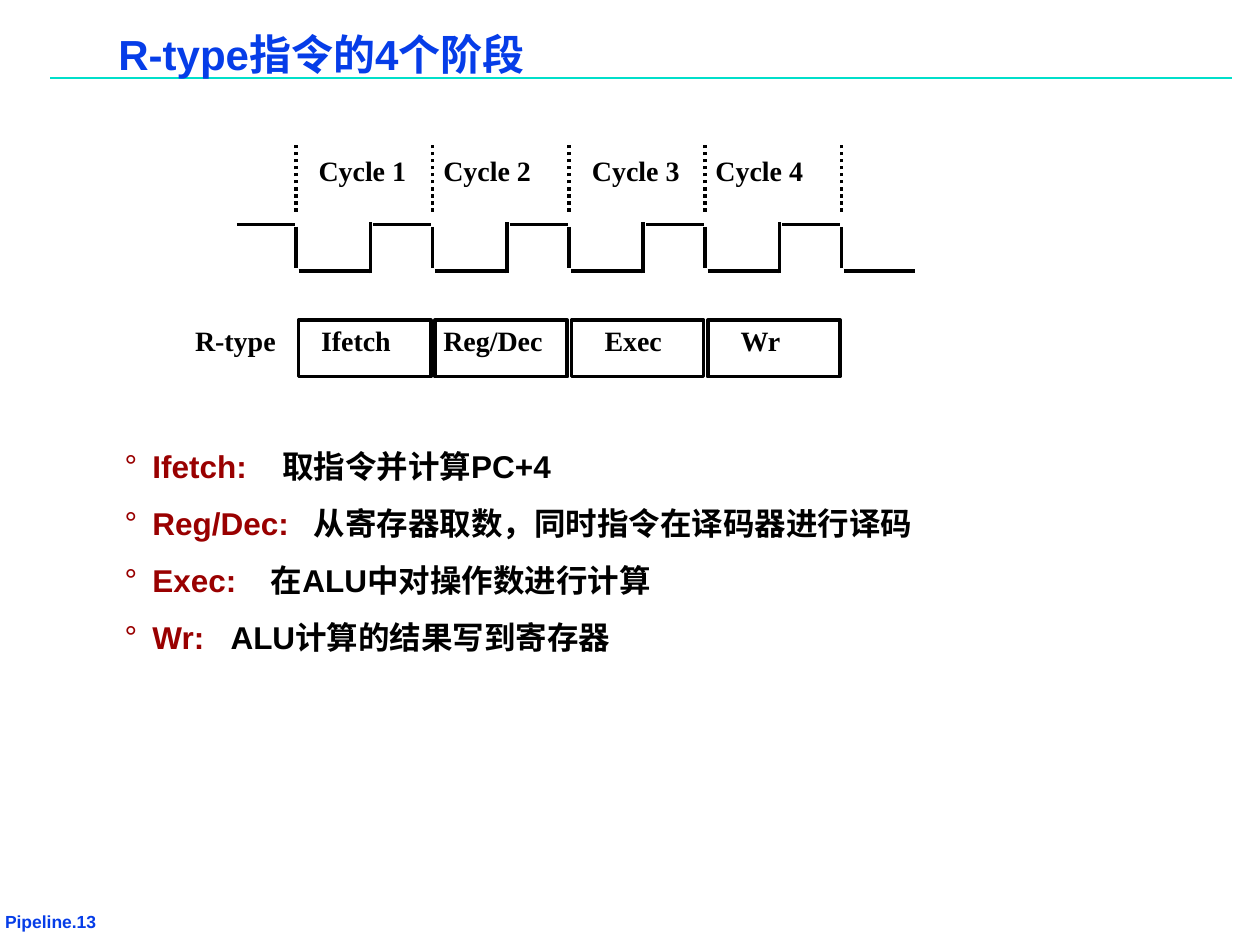
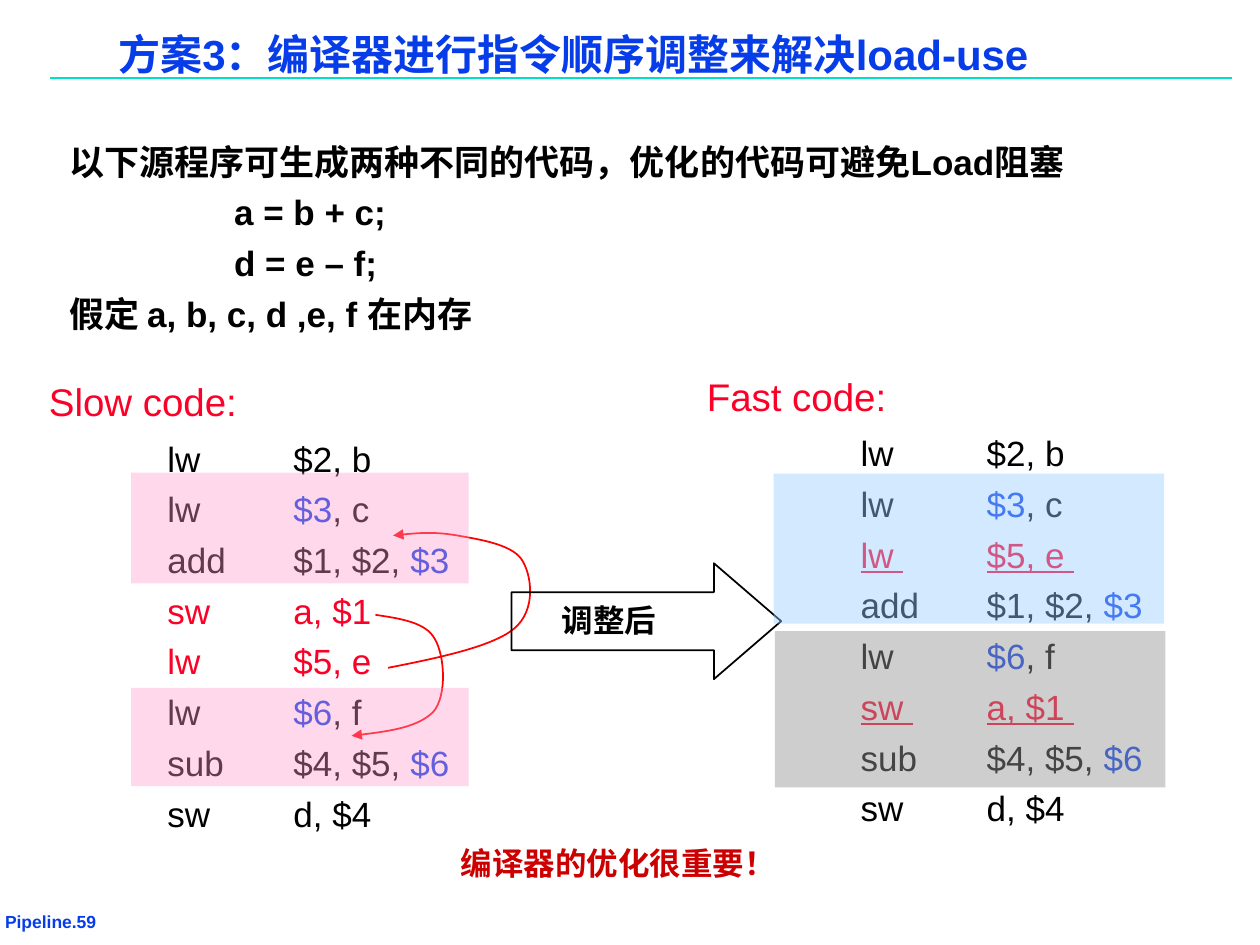
from lxml import etree
from pptx import Presentation
from pptx.dml.color import RGBColor
from pptx.enum.dml import MSO_LINE
from pptx.enum.shapes import MSO_CONNECTOR, MSO_SHAPE
from pptx.oxml.ns import qn
from pptx.util import Inches, Pt

STRAIGHT = MSO_CONNECTOR.STRAIGHT
RECTANGLE = MSO_SHAPE.RECTANGLE
RIGHT_ARROW = MSO_SHAPE.RIGHT_ARROW
DOTTED = MSO_LINE.ROUND_DOT

SANS, SERIF = "Arial", "Times New Roman"
BLACK, BLUE, TEAL = "000000", "063DE8", "00DFCA"
RED, DARK_RED, BRICK = "FC0128", "990000", "CC0000"
CURVE_RED, PINK, SKY, GREY = "FF0000", "FF99CC", "99CCFF", "969696"

SMALL_INSET, INSET = (0.07, 0.03), (0.1, 0.05)
TAB_WIDTH = 1

CYCLE_START, CYCLE_COUNT = 2.35, 4
CYCLE_WIDTH = (6.68 - CYCLE_START) / CYCLE_COUNT
CLOCK_HIGH, CLOCK_LOW = 1.78, 2.15

# Label and left edge of each text
CYCLES = [("Cycle 1", 2.43), ("Cycle 2", 3.42), ("Cycle 3", 4.6), ("Cycle 4", 5.58)]
STAGES = [("Ifetch", 2.45), ("Reg/Dec", 3.42), ("Exec", 4.7), ("Wr", 5.78)]

# Stage, explanation and tab stop between them
STAGE_NOTES = [
    ("Ifetch:", "取指令并计算PC+4", 1.25),
    ("Reg/Dec:", "从寄存器取数，同时指令在译码器进行译码", 1.5),
    ("Exec:", "在ALU中对操作数进行计算", 1.16),
    ("Wr:", "ALU计算的结果写到寄存器", 0.84),
]

INTRO = [
    "以下源程序可生成两种不同的代码，优化的代码可避免Load阻塞",
    "\t\ta = b + c;",
    "\t\td = e – f;",
    "假定 a, b, c, d ,e, f 在内存",
]

# Operation, operands, highlighted register, colour
SLOW_CODE = [
    ("lw", "$2, b", "", BLACK),
    ("lw", "$3, c", "$3", BLACK),
    ("add", "$1, $2, $3", "$3", BLACK),
    ("sw", "a, $1", "", RED),
    ("lw", "$5, e", "", RED),
    ("lw", "$6, f", "$6", BLACK),
    ("sub", "$4, $5, $6", "$6", BLACK),
    ("sw", "d, $4", "", BLACK),
]
FAST_ORDER = [0, 1, 4, 2, 5, 3, 6, 7]

# Start point, then two control points and an end point per curve
LOAD_MOVE = [
    (3.08, 5.3), (3.49, 5.22), (3.91, 5.13), (4.08, 4.99),
    (4.26, 4.84), (4.22, 4.56), (4.14, 4.44),
    (4.06, 4.32), (3.8, 4.28), (3.63, 4.25),
    (3.46, 4.22), (3.29, 4.23), (3.12, 4.25),
]
STORE_MOVE = [
    (2.98, 4.88), (3.18, 4.91), (3.38, 4.94), (3.45, 5.07),
    (3.53, 5.2), (3.55, 5.52), (3.44, 5.65),
    (3.32, 5.77), (3.06, 5.81), (2.79, 5.84),
]

HIGHLIGHTS = [
    ((1.04, 3.75, 2.68, 0.88), PINK, 38),
    ((1.04, 5.46, 2.68, 0.78), PINK, 38),
    ((6.14, 3.76, 3.1, 1.19), SKY, 43),
    ((6.15, 5.01, 3.1, 1.24), GREY, 46),
]


def rgb(colour):
    return RGBColor.from_string(colour)


def add_box(page, place, inset=INSET):
    """Add an empty text box and return its text frame."""
    box = page.shapes.add_textbox(*map(Inches, place))
    frame = box.text_frame
    frame.word_wrap = True
    frame.margin_left = frame.margin_right = Inches(inset[0])
    frame.margin_top = frame.margin_bottom = Inches(inset[1])
    return frame


def add_para(frame, before=0, leading=1.0, indent=0, hanging=0, bullet=None, tabs=()):
    """Use the empty first paragraph of a frame, or append a new one."""
    para = frame.paragraphs[0]
    is_first = not para.runs
    if not is_first:
        para = frame.add_paragraph()
    props = para._p.get_or_add_pPr()
    props.set("marL", str(Inches(indent)))
    props.set("indent", str(-Inches(hanging)))
    props.set("defTabSz", str(Inches(TAB_WIDTH)))
    if bullet:
        symbol, colour = bullet
        tint = etree.SubElement(props, qn("a:buClr"))
        etree.SubElement(tint, qn("a:srgbClr"), val=colour)
        etree.SubElement(props, qn("a:buFont"), typeface=SANS)
        etree.SubElement(props, qn("a:buChar"), char=symbol)
    if tabs:
        stops = etree.SubElement(props, qn("a:tabLst"))
        for stop in tabs:
            etree.SubElement(stops, qn("a:tab"), pos=str(Inches(stop)), algn="l")
    para.line_spacing = leading
    para.space_before = Pt(0 if is_first else before)
    return para


def add_span(para, text, size, colour, font=SANS, bold=False, underline=False):
    span = para.add_run()
    span.text = text
    span.font.name = font
    span.font.size = Pt(size)
    span.font.bold = bold
    span.font.underline = underline
    span.font.color.rgb = rgb(colour)


def add_label(page, text, place, size, colour=BLACK, font=SERIF, inset=INSET, leading=1.0):
    para = add_para(add_box(page, place, inset), leading=leading)
    add_span(para, text, size, colour, font, bold=True)


def add_line(page, start, end, colour=BLACK, width=2, dash=None):
    line = page.shapes.add_connector(STRAIGHT, *map(Inches, (*start, *end)))
    line.line.color.rgb = rgb(colour)
    line.line.width = Pt(width)
    if dash:
        line.line.dash_style = dash
    etree.SubElement(line._element.spPr, qn("a:effectLst"))


def add_outline(page, kind, place, width):
    shape = page.shapes.add_shape(kind, *map(Inches, place))
    shape.shadow.inherit = False
    shape.fill.background()
    shape.line.color.rgb = rgb(BLACK)
    shape.line.width = Pt(width)
    return shape


def add_highlight(page, place, colour, opacity):
    """Lay a translucent band over code lines."""
    shape = page.shapes.add_shape(RECTANGLE, *map(Inches, place))
    shape.shadow.inherit = False
    shape.line.fill.background()
    shape.fill.solid()
    shape.fill.fore_color.rgb = rgb(colour)
    tint = shape._element.spPr.find(qn("a:solidFill")).find(qn("a:srgbClr"))
    etree.SubElement(tint, qn("a:alpha"), val=str(opacity * 1000))


def add_curved_arrow(page, points):
    """Draw a freeform whose segments are joined in threes into Bezier curves."""
    emu = [(Inches(x), Inches(y)) for x, y in points]
    builder = page.shapes.build_freeform(*emu[0])
    builder.add_line_segments(emu[1:], close=False)
    curve = builder.convert_to_shape()
    segments = list(curve._element.iter(qn("a:lnTo")))
    outline = segments[0].getparent()
    for first in range(0, len(segments), 3):
        bezier = etree.SubElement(outline, qn("a:cubicBezTo"))
        for segment in segments[first:first + 3]:
            bezier.append(segment[0])
            outline.remove(segment)
    curve.shadow.inherit = False
    curve.fill.background()
    curve.line.color.rgb = rgb(CURVE_RED)
    curve.line.width = Pt(1)
    etree.SubElement(curve.line._get_or_add_ln(), qn("a:tailEnd"), type="triangle")


def add_page(deck, title, number):
    page = deck.slides.add_slide(deck.slide_layouts[6])
    add_label(page, f"Pipeline.{number}", (0, 7.2, 1.36, 0.22), 10, BLUE, SANS, (0.04, 0.03))
    add_line(page, (0.4, 0.62), (9.78, 0.62), TEAL, 1)
    add_label(page, title, (0.87, 0.25, 8.2, 0.4), 24, BLUE, SANS, SMALL_INSET, 0.87)
    return page


def add_clock(page):
    edges = [CYCLE_START + CYCLE_WIDTH * step for step in range(CYCLE_COUNT + 1)]
    for edge in edges:
        add_line(page, (edge - 0.47, CLOCK_HIGH), (edge - 0.01, CLOCK_HIGH))
        add_line(page, (edge, 1.8), (edge, 2.13))
        add_line(page, (edge + 0.02, CLOCK_LOW), (edge + 0.58, CLOCK_LOW))
        add_line(page, (edge, 1.68), (edge, 1.15), dash=DOTTED)
    for edge in edges[:-1]:
        add_line(page, (edge + 0.59, 2.17), (edge + 0.59, 1.76))
        add_outline(page, RECTANGLE, (edge + 0.02, 2.54, 1.05, 0.45), 2)


def add_code(page, heading, place, inset, rows, indent, heading_indent, leading, lead, mark_red):
    """Write a heading and its instructions, with moved ones underlined if mark_red."""
    frame = add_box(page, place, inset)
    para = add_para(frame, leading=leading, indent=indent or heading_indent, hanging=indent)
    add_span(para, heading, 22, RED)
    for index, (operation, operands, register, colour) in enumerate(rows):
        para = add_para(frame, before=5 if index else 7.4, indent=indent,
                        hanging=indent, tabs=(0, 1, 2, 3))
        add_span(para, lead, 20, BLACK)
        if not register:
            marked = mark_red and colour == RED
            text = f"{operation} \t{operands}" + (" " if marked else "")
            add_span(para, text, 20, colour, underline=marked)
            continue
        head, register, rest = operands.partition(register)
        add_span(para, f"{operation} \t{head}", 20, colour)
        add_span(para, register, 20, BLUE)
        if rest:
            add_span(para, rest, 20, colour)


def build_stages(deck):
    page = add_page(deck, "R-type指令的4个阶段", 13)
    notes = add_box(page, (0.92, 3.46, 7.83, 1.78), SMALL_INSET)
    for stage, note, stop in STAGE_NOTES:
        para = add_para(notes, 6.7, 1.2, 0.22, 0.22, ("°", DARK_RED), (stop,))
        add_span(para, f"{stage}\t", 18, DARK_RED, bold=True)
        add_span(para, note, 18, BLACK, bold=True)
    add_clock(page)
    for text, left in CYCLES:
        add_label(page, text, (left, 1.17, 1.2, 0.36), 16)
    for text, left in [("R-type", 1.45), *STAGES]:
        add_label(page, text, (left, 2.52, 1.2, 0.36), 16)


def build_reordering(deck):
    page = add_page(deck, "方案3：编译器进行指令顺序调整来解决load-use", 59)
    intro = add_box(page, (0.45, 1.1, 8.73, 1.7))
    for text in INTRO:
        para = add_para(intro, 7.5, 0.9, 0.31, 0.31, tabs=(0, 1))
        add_span(para, text, 20, BLACK, bold=True)
    fast_code = [SLOW_CODE[index] for index in FAST_ORDER]
    add_code(page, "Fast code:", (5.54, 3, 3.92, 3.64), SMALL_INSET, fast_code,
             0.22, 0, 0.8, "\t\t", True)
    add_curved_arrow(page, LOAD_MOVE)
    add_curved_arrow(page, STORE_MOVE)
    add_code(page, "Slow code:", (0.23, 2.95, 4.49, 3.72), INSET, SLOW_CODE,
             0, 0.06, 1.0, "\t", False)
    arrow = add_outline(page, RIGHT_ARROW, (4.06, 4.47, 2.14, 0.92), 1)
    arrow.adjustments[1] = 0.58
    add_label(page, "调整后", (4.36, 4.72, 1.11, 0.4), 18)
    add_label(page, "编译器的优化很重要！", (3.56, 6.65, 2.94, 0.4), 18, BRICK)
    for place, colour, opacity in HIGHLIGHTS:
        add_highlight(page, place, colour, opacity)


def main():
    deck = Presentation()
    deck.slide_width, deck.slide_height = Inches(10), Inches(7.5)
    build_stages(deck)
    build_reordering(deck)
    deck.save("out.pptx")


if __name__ == "__main__":
    main()
